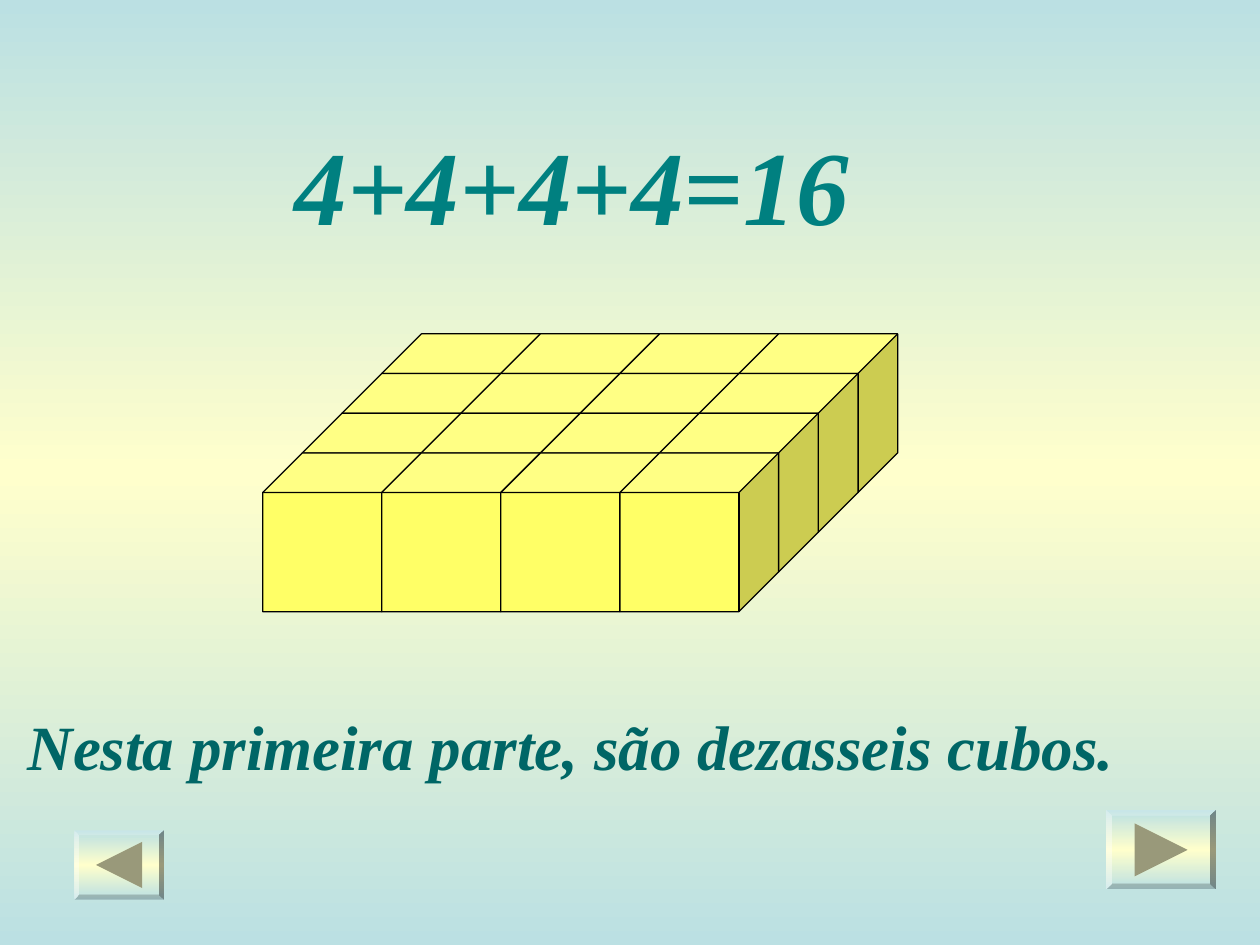
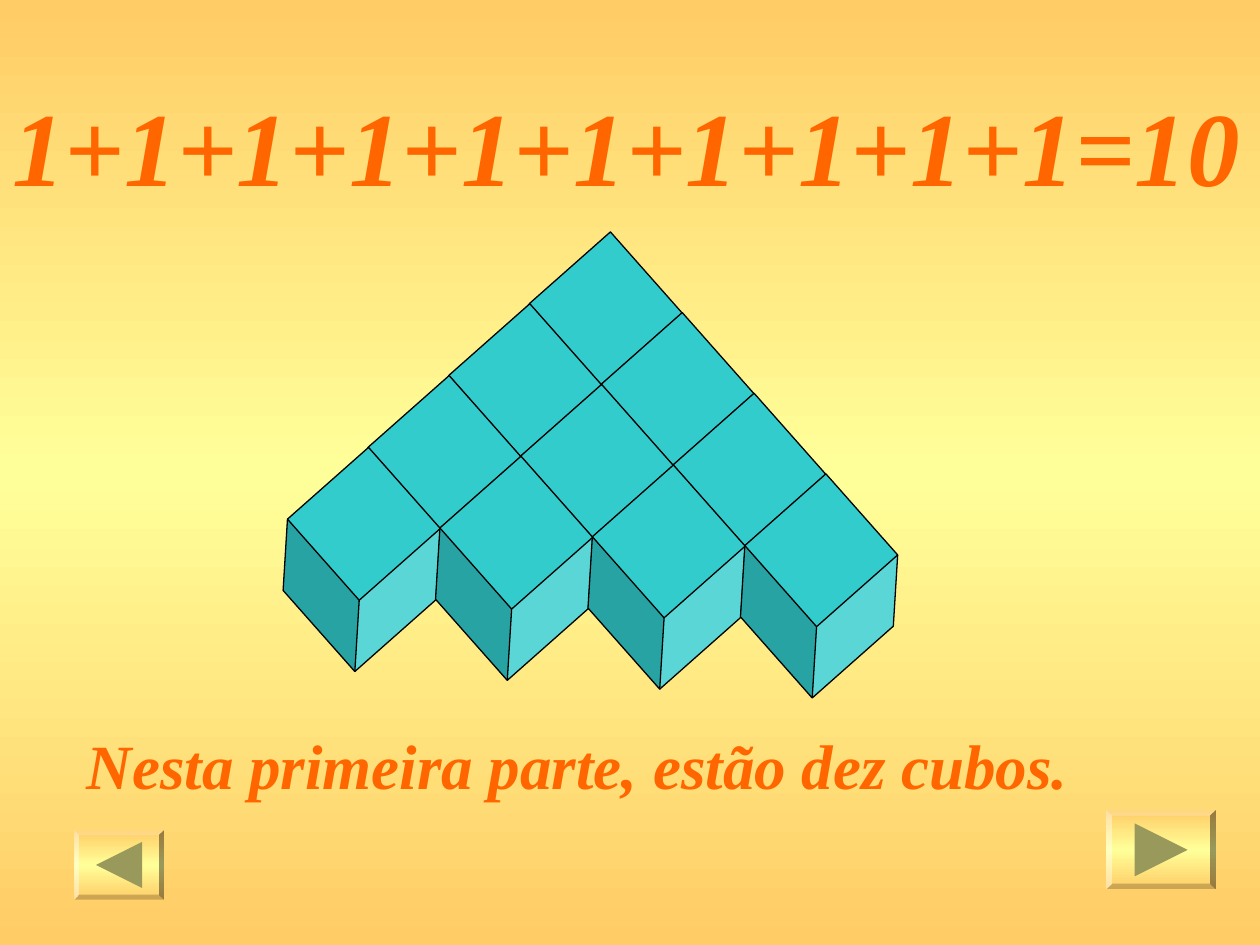
import copy

import pptx
import pptx.dml.color
import pptx.enum.shapes
import pptx.oxml.ns
import pptx.util

Inches = pptx.util.Inches
Pt = pptx.util.Pt
SHAPE = pptx.enum.shapes.MSO_SHAPE
FONT = "Times New Roman"
SIDE = 1.26


def paint(value):
    return pptx.dml.color.RGBColor.from_string(value)


def blend(fill, element, edge, middle):
    """Fill with a vertical gradient: edge, middle, edge."""
    fill.gradient()
    fill.gradient_angle = 90
    stops = next(element.iter(pptx.oxml.ns.qn("a:gsLst")))
    stops.append(copy.deepcopy(stops[0]))
    colors = (edge, middle, edge)
    for stop, place, color in zip(fill.gradient_stops, (0, 0.5, 1), colors):
        stop.position = place
        stop.color.rgb = paint(color)


def write(slide, left, top, width, height, text, size, color):
    box = slide.shapes.add_textbox(
        Inches(left), Inches(top), Inches(width), Inches(height))
    box.text_frame.word_wrap = True
    line = box.text_frame.paragraphs[0]
    line.text = text
    line.font.name = FONT
    line.font.size = Pt(size)
    line.font.bold = line.font.italic = True
    line.font.color.rgb = paint(color)


def button(slide, left, top, width, height, way, theme):
    """Bevelled button with an arrow; way is 1 for next, -1 for back."""
    edge, middle, dark = theme
    plate = slide.shapes.add_shape(
        SHAPE.BEVEL, Inches(left), Inches(top), Inches(width), Inches(height))
    plate.adjustments[0] = 0.07
    plate.shadow.inherit = False
    plate.line.fill.background()
    blend(plate.fill, plate.element, edge, middle)

    reach = height / 3
    x, y = left + width / 2, top + height / 2
    back = Inches(x - way * reach)
    path = slide.shapes.build_freeform(back, Inches(y - reach))
    path.add_line_segments(
        [(Inches(x + way * reach), Inches(y)), (back, Inches(y + reach))])
    arrow = path.convert_to_shape()
    arrow.shadow.inherit = False
    arrow.fill.solid()
    arrow.fill.fore_color.rgb = paint(dark)
    arrow.line.fill.background()


def stack(slide, spots, color, depth, turn=0):
    """Group of equal cubes, drawn from back to front."""
    group = slide.shapes.add_group_shape()
    for left, top in spots:
        cube = group.shapes.add_shape(
            SHAPE.CUBE, Inches(left), Inches(top), Inches(SIDE), Inches(SIDE))
        cube.adjustments[0] = depth
        cube.rotation = turn
        cube.shadow.inherit = False
        cube.fill.solid()
        cube.fill.fore_color.rgb = paint(color)
        cube.line.color.rgb = paint("000000")
        cube.line.width = Pt(0.75)


def block(left, top, count):
    """Spots of a square layer whose back left cube is at left, top."""
    depth = SIDE / 4
    step = SIDE - depth
    return [(left + col * step - row * depth, top + row * depth)
            for row in range(count) for col in range(count)]


def wedge(left, top, count):
    """Spots of a triangular layer whose back cube is at left, top."""
    return [(left - 0.64 * (row - col) + 0.57 * col,
             top + 0.57 * (row - col) + 0.64 * col)
            for row in range(count) for col in range(row + 1)]


def page(deck, theme):
    slide = deck.slides.add_slide(deck.slide_layouts[6])
    blend(slide.background.fill, slide.element, *theme[:2])
    button(slide, 8.78, 6.43, 0.87, 0.63, 1, theme)
    button(slide, 0.59, 6.59, 0.71, 0.55, -1, theme)
    return slide


def main():
    deck = pptx.Presentation()
    deck.slide_width, deck.slide_height = Inches(10), Inches(7.5)

    slide = page(deck, ("BBE0E3", "FFFFCC", "99997A"))
    stack(slide, block(3.03, 2.65, 4), "FFFF66", 0.25)
    write(slide, 0.12, 5.57, 9.61, 0.7,
          "Nesta primeira parte, são dezasseis cubos.", 36, "006666")
    write(slide, 2.24, 0.91, 5.12, 1.1, "4+4+4+4=16", 60, "008080")

    slide = page(deck, ("FFCC66", "FFFF99", "99995C"))
    stack(slide, wedge(4.16, 2.1, 4), "33CCCC", 0.318, 138.5)
    write(slide, 0.59, 5.72, 8.11, 0.7,
          "Nesta primeira parte, estão dez cubos.", 36, "FF6600")
    write(slide, 0, 0.6, 10, 1.1,
          "1+1+1+1+1+1+1+1+1+1=10", 60, "FF6600")

    deck.save("out.pptx")


if __name__ == "__main__":
    main()
